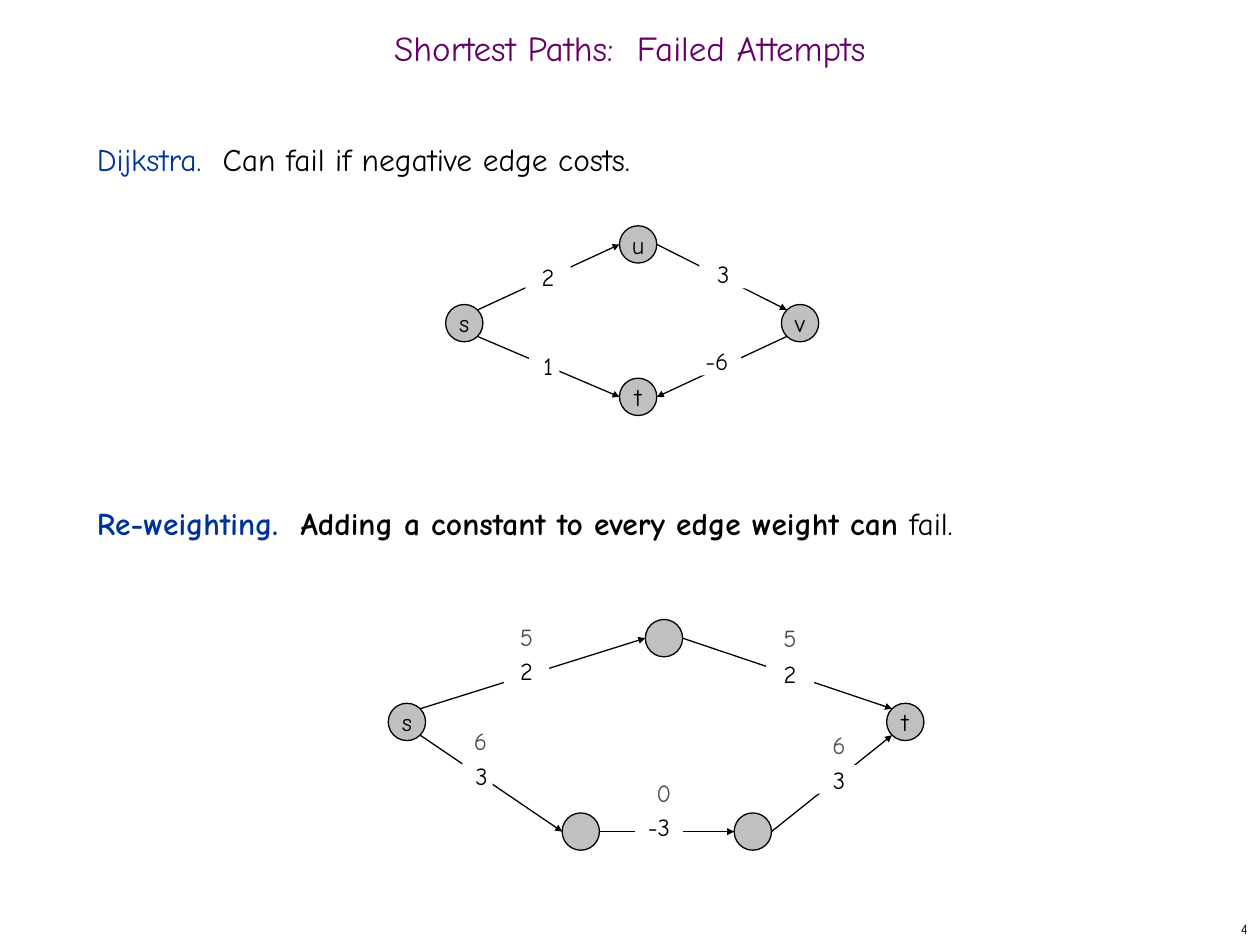
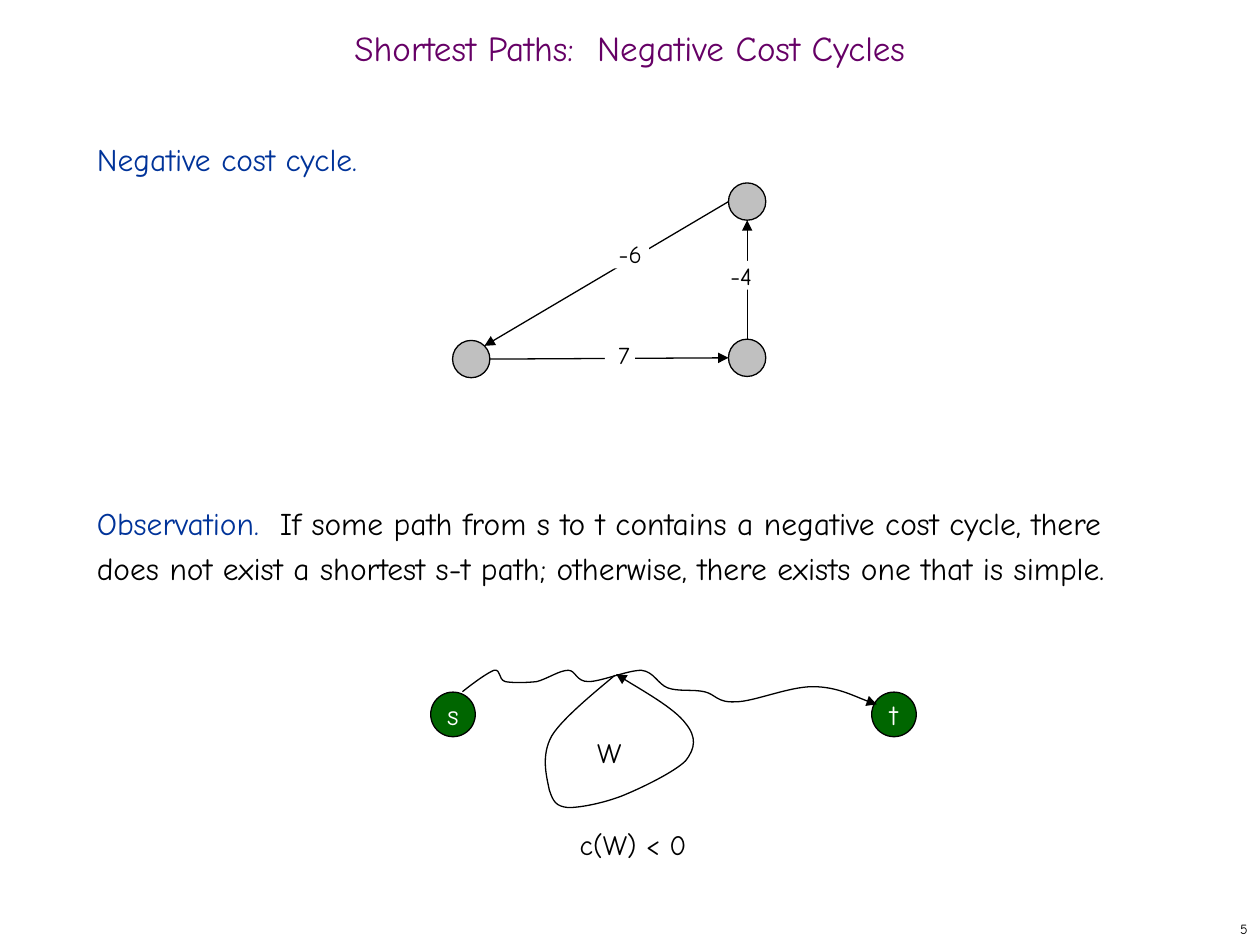
from lxml import etree
from pptx import Presentation
from pptx.dml.color import RGBColor
from pptx.enum.shapes import MSO_CONNECTOR, MSO_SHAPE
from pptx.enum.text import MSO_ANCHOR, PP_ALIGN
from pptx.oxml.ns import qn
from pptx.util import Inches, Pt

LEFT, MID, RIGHT = PP_ALIGN.LEFT, PP_ALIGN.CENTER, PP_ALIGN.RIGHT
TOP, HALF = MSO_ANCHOR.TOP, MSO_ANCHOR.MIDDLE
OVAL, RECT = MSO_SHAPE.OVAL, MSO_SHAPE.RECTANGLE
STRAIGHT = MSO_CONNECTOR.STRAIGHT

FONT = "Comic Neue"
BLACK, WHITE, GREY, DIM = "000000", "FFFFFF", "C0C0C0", "4D4D4D"
BLUE, PLUM, GREEN = "003399", "660066", "006600"
COLS, ROWS = 100, 75
LEAD = 26
DIAG = 0.71
PORTS = {"n": (0, -1), "s": (0, 1), "e": (1, 0), "w": (-1, 0),
         "ne": (DIAG, -DIAG), "se": (DIAG, DIAG),
         "nw": (-DIAG, -DIAG), "sw": (-DIAG, DIAG)}


def rgb(code):
    """Turn a hex string into a colour."""
    return RGBColor.from_string(code)


def write(para, text, size=14, color=BLACK, bold=False):
    """Add one formatted run to a paragraph."""
    run = para.add_run()
    run.text = text
    font = run.font
    font.name, font.size, font.bold = FONT, Pt(size), bold
    font.color.rgb = rgb(color)


class Deck:
    """Holds the style and the current slide."""

    def __init__(self):
        """Start an empty deck."""
        self.file = Presentation()
        self.file.slide_width, self.file.slide_height = Inches(10), Inches(7.5)
        self.cell_w = self.file.slide_width / COLS
        self.cell_h = self.file.slide_height / ROWS
        self.page = None

    def at(self, *cells):
        """Turn pairs of columns and rows into lengths."""
        units = (self.cell_w, self.cell_h)
        return [round(c * units[i % 2]) for i, c in enumerate(cells)]

    def frame(self, shape, pad=True, anchor=HALF, align=MID, wrap=True):
        """Set up a text frame and return its first paragraph."""
        text = shape.text_frame
        text.word_wrap, text.vertical_anchor = wrap, anchor
        text.margin_left = text.margin_right = Inches(0.1 * pad)
        text.margin_top = text.margin_bottom = Inches(0.05 * pad)
        para = text.paragraphs[0]
        para.alignment = align
        return para

    def slide(self, title, number):
        """Add a slide with its title and number."""
        self.page = self.file.slides.add_slide(self.file.slide_layouts[5])
        head = self.page.shapes.title
        head.left, head.top, head.width, head.height = self.at(0, 1.7, COLS, 5)
        para = self.frame(head)
        para.line_spacing = 0.7
        write(para, title, size=20, color=PLUM)
        foot = self.page.shapes.add_textbox(*self.at(79.2, 72.5, 20.8, 2.5))
        write(self.frame(foot, align=RIGHT), str(number), size=8)

    def body(self, first, second):
        """Add two paragraphs of runs, seven lines apart."""
        box = self.page.shapes.add_textbox(*self.at(6.7, 10, 85.8, 59.2))
        para = self.frame(box, anchor=TOP, align=LEFT)
        below = box.text_frame.add_paragraph()
        below.space_before = Pt(7 * LEAD)
        for line, runs in ((para, first), (below, second)):
            line.line_spacing = Pt(LEAD)
            for text, form in runs:
                write(line, text, size=18, **form)

    def node(self, x, y, text="", r=1.48, fill=GREY, **form):
        """Draw a round node about a centre and return its place."""
        dot = self.page.shapes.add_shape(OVAL, *self.at(x - r, y - r, 2 * r, 2 * r))
        dot.shadow.inherit = False
        dot.fill.solid()
        dot.fill.fore_color.rgb = rgb(fill)
        self.stroke(dot)
        if text:
            write(self.frame(dot, wrap=False), text, **form)
        return x, y, r

    def stroke(self, shape, tip=None):
        """Give a thin black line, with an arrow tip if asked."""
        shape.line.color.rgb = rgb(BLACK)
        shape.line.width = Pt(0.75)
        if tip:
            line = shape.element.spPr.find(qn("a:ln"))
            etree.SubElement(line, qn("a:tailEnd"), type="triangle", w=tip, len=tip)

    def edge(self, start, out, end, into, tip="sm"):
        """Join two nodes by an arrow between their ports."""
        ends = []
        for (x, y, r), port in ((start, out), (end, into)):
            dx, dy = PORTS[port]
            ends += [x + r * dx, y + r * dy]
        line = self.page.shapes.add_connector(STRAIGHT, *self.at(*ends))
        self.stroke(line, tip)
        etree.SubElement(line.element.spPr, qn("a:effectLst"))

    def cost(self, x, y, text, w=3.8, h=2.3):
        """Put an edge cost on a white patch about a centre."""
        patch = self.page.shapes.add_shape(RECT, *self.at(x - w / 2, y - h / 2, w, h))
        patch.shadow.inherit = False
        patch.fill.solid()
        patch.fill.fore_color.rgb = rgb(WHITE)
        patch.line.fill.background()
        write(self.frame(patch, pad=False), text)

    def label(self, x, y, text, w=4, h=3.5, **form):
        """Put plain text about a centre."""
        box = self.page.shapes.add_textbox(*self.at(x - w / 2, y - h / 2, w, h))
        write(self.frame(box, wrap=False), text, **form)

    def curve(self, *points):
        """Draw an arrow along cubic curves, three points to each."""
        spots = [tuple(self.at(*p)) for p in points]
        pen = self.page.shapes.build_freeform(*spots[0], scale=1.0)
        pen.add_line_segments(spots[1:], close=False)
        shape = pen.convert_to_shape()
        shape.shadow.inherit = False
        shape.fill.background()
        self.stroke(shape, "med")
        steps = list(shape.element.iter(qn("a:lnTo")))
        for one, two, three in zip(steps[::3], steps[1::3], steps[2::3]):
            one.tag = qn("a:cubicBezTo")
            for step in (two, three):
                one.append(step[0])
                step.getparent().remove(step)


def fails(deck):
    """Build the slide on failed attempts."""
    deck.slide("Shortest Paths:  Failed Attempts", 4)
    deck.body(
        [("Dijkstra.  ", {"color": BLUE}), ("Can fail if negative edge costs.", {})],
        [("Re-weighting.  ", {"color": BLUE, "bold": True}),
         ("Adding a constant to every edge weight can ", {"bold": True}),
         ("fail.", {})])

    u, t = deck.node(50.65, 19.4, "u"), deck.node(50.65, 31.5, "t")
    s, v = deck.node(36.85, 25.65, "s"), deck.node(63.5, 25.65, "v")
    deck.edge(s, "ne", u, "w")
    deck.edge(s, "se", t, "w")
    deck.edge(u, "e", v, "nw")
    deck.edge(v, "sw", t, "e")
    deck.cost(43.5, 21.95, "2", w=3.6)
    deck.cost(43.2, 29.05, " 1", w=2.4)
    deck.cost(57.4, 21.75, "3")
    deck.cost(56.9, 28.65, "-6")

    s, t = deck.node(32.3, 57.3, "s"), deck.node(71.85, 57.3, "t")
    top = deck.node(52.7, 50.65)
    near, far = deck.node(46.1, 66), deck.node(59.75, 66)
    deck.edge(s, "ne", top, "w")
    deck.edge(top, "e", t, "nw")
    deck.edge(s, "se", near, "w")
    deck.edge(near, "e", far, "w")
    deck.edge(far, "e", t, "sw")
    deck.cost(41.8, 53.25, "2", w=3.6)
    deck.cost(37.9, 61.55, " 3", w=2.4)
    deck.cost(62.7, 53.45, "2")
    deck.cost(52.3, 65.65, "-3")
    deck.cost(66.6, 61.85, "3")
    for x, y, text in ((41.8, 50.5, "5"), (62.7, 50.6, "5"), (66.6, 59.1, "6"),
                       (38.15, 58.8, "6"), (52.7, 62.9, "0")):
        deck.label(x, y, text, color=DIM)


def cycles(deck):
    """Build the slide on negative cost cycles."""
    deck.slide("Shortest Paths:  Negative Cost Cycles", 5)
    deck.body(
        [("Negative cost cycle.", {"color": BLUE})],
        [("Observation.  ", {"color": BLUE}),
         ("If some path from s to t contains a negative cost cycle, there does not "
          "exist a shortest s-t path; otherwise, there exists one that is simple.", {})])

    for x, text in ((35.95, "s"), (70.95, "t")):
        deck.node(x, 56.7, text, r=1.77, fill=GREEN, size=16, color=WHITE)
    deck.curve((36.7, 54.9), (37.7, 54.1), (38.7, 53.4), (39.2, 53.2),
               (39.8, 53.1), (39.5, 53.9), (40.1, 54.1),
               (40.6, 54.2), (41.7, 54.2), (42.6, 54.1),
               (43.4, 53.9), (44.4, 53.2), (45.1, 53.2),
               (45.7, 53.2), (45.7, 54.1), (46.7, 54.1),
               (47.7, 54.1), (49.8, 53.2), (50.9, 53.2),
               (51.9, 53.3), (52.2, 54.3), (53, 54.6),
               (53.8, 54.9), (55, 54.7), (55.9, 54.9),
               (56.8, 55.1), (56.9, 55.8), (58.4, 55.7),
               (59.8, 55.7), (62.6, 54.5), (64.5, 54.5),
               (66.4, 54.5), (68.5, 55.6), (69.6, 55.9))
    deck.curve((48.8, 53.6), (48, 54.3), (44.7, 56.9), (43.8, 58.4),
               (42.9, 60), (43.4, 61.7), (43.6, 62.7),
               (43.9, 63.6), (44.1, 64), (45.1, 64.1),
               (46, 64.1), (47.7, 63.8), (49.3, 63.2),
               (50.8, 62.6), (53.5, 61.3), (54.4, 60.4),
               (55.2, 59.4), (55.3, 58.5), (54.4, 57.4),
               (53.5, 56.2), (50.1, 54.3), (48.9, 53.5))
    deck.label(48.35, 59.7, "W", size=16)
    deck.label(50.25, 67, "c(W) < 0", w=13.9, size=16)

    top, base, near = deck.node(59.3, 16), deck.node(59.3, 28.4), deck.node(37.4, 28.5)
    deck.edge(base, "n", top, "s", tip="med")
    deck.edge(near, "e", base, "w", tip="med")
    deck.edge(top, "w", near, "ne", tip="med")
    deck.cost(49.7, 20.15, " -6", w=3.6)
    deck.cost(49.2, 28.15, " 7", w=2.4)
    deck.cost(58.5, 21.85, " -4")


def main():
    """Build both slides and save them."""
    deck = Deck()
    fails(deck)
    cycles(deck)
    deck.file.save("out.pptx")


if __name__ == "__main__":
    main()
